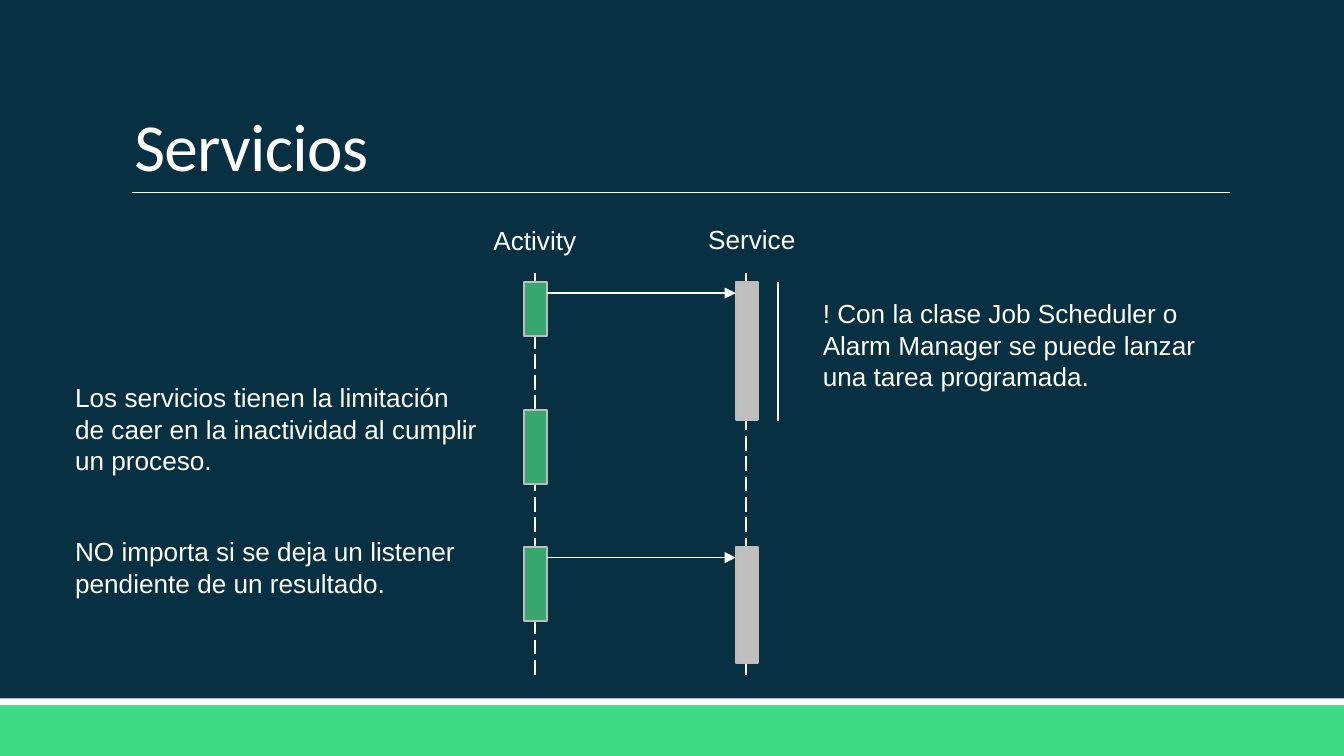
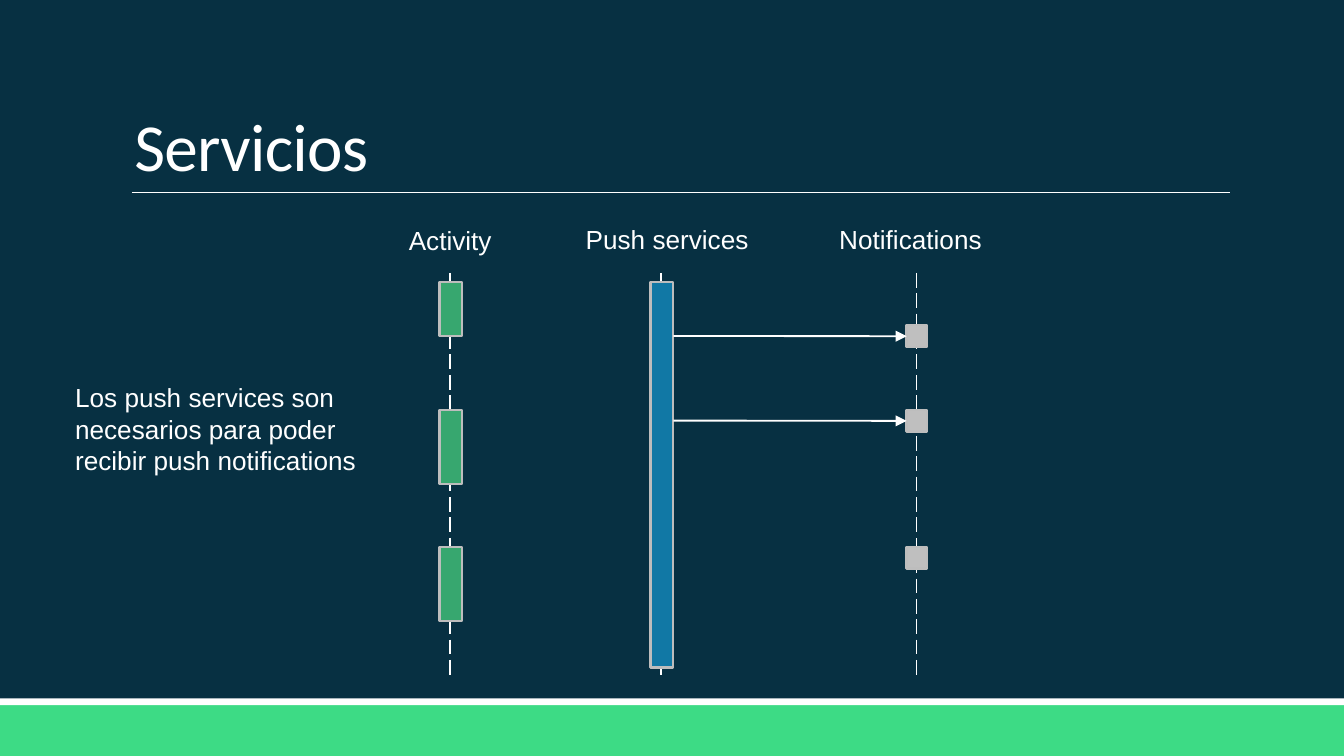
from dataclasses import dataclass
from typing import Any

from lxml import etree
from pptx import Presentation
from pptx.dml.color import RGBColor
from pptx.enum.dml import MSO_LINE
from pptx.enum.shapes import MSO_CONNECTOR, MSO_SHAPE
from pptx.enum.text import MSO_ANCHOR, MSO_AUTO_SIZE, PP_ALIGN
from pptx.oxml.ns import qn
from pptx.util import Cm, Pt

RECT = MSO_SHAPE.RECTANGLE
STRAIGHT = MSO_CONNECTOR.STRAIGHT
DASH = MSO_LINE.LONG_DASH
LEFT, CENTER = PP_ALIGN.LEFT, PP_ALIGN.CENTER
TOP, BOTTOM = MSO_ANCHOR.TOP, MSO_ANCHOR.BOTTOM
FIT, FIXED = MSO_AUTO_SIZE.SHAPE_TO_FIT_TEXT, MSO_AUTO_SIZE.NONE
LEFT_SIDE = 1


@dataclass(frozen=True)
class Theme:
    back: RGBColor = RGBColor(0x07, 0x30, 0x42)
    band: RGBColor = RGBColor(0x3D, 0xDB, 0x85)
    white: RGBColor = RGBColor(0xFF, 0xFF, 0xFF)
    green: RGBColor = RGBColor(0x37, 0xA7, 0x6F)
    gray: RGBColor = RGBColor(0xBF, 0xBF, 0xBF)
    blue: RGBColor = RGBColor(0x11, 0x78, 0xA5)
    edge: RGBColor = RGBColor(0xBD, 0xBD, 0xBD)
    head: str = "Calibri"
    body: str = "Arial"
    big: float = 36
    small: float = 14
    thin: float = 0.5
    line: float = 1
    border: float = 1.25


THEME = Theme()
WIDTH, HEIGHT = 25.4, 14.29
LIFE_TOP, LIFE_END = 5.16, 12.75
ROWS = (5.33, 7.75, 10.34)


@dataclass(frozen=True)
class Lane:
    name: str
    x: float
    label: tuple[float, float, float]  # left, top, width
    width: float
    fill: RGBColor
    bars: tuple[tuple[float, float], ...]  # top, height


@dataclass(frozen=True)
class Call:
    """An arrow from one bar to another; each is (lane, bar)."""
    start: tuple[int, int]
    end: tuple[int, int]
    y: float


@dataclass(frozen=True)
class Note:
    box: tuple[float, float, float, float]
    lines: tuple[str, ...]


@dataclass(frozen=True)
class Page:
    lanes: tuple[Lane, ...]
    calls: tuple[Call, ...]
    notes: tuple[Note, ...]
    marks: tuple[tuple[float, float, float], ...] = ()  # x, top, end


def apply(target: Any, values: dict[str, Any]) -> None:
    for name, value in values.items():
        setattr(target, name, value)


def add_box(slide: Any, box: tuple[float, ...], fill: RGBColor,
            edge: bool = False) -> Any:
    shape = slide.shapes.add_shape(RECT, *map(Cm, box))
    shape.shadow.inherit = False
    shape.fill.solid()
    shape.fill.fore_color.rgb = fill
    if edge:
        shape.line.color.rgb = THEME.edge
        shape.line.width = Pt(THEME.border)
    else:
        shape.line.fill.background()
    return shape


def add_line(slide: Any, ends: tuple[int, ...], width: float = THEME.line,
             dash: bool = False, arrow: bool = False) -> Any:
    """Ends are x and y of the start, then of the end, as lengths."""
    link = slide.shapes.add_connector(STRAIGHT, *ends)
    link.line.color.rgb = THEME.white
    link.line.width = Pt(width)
    if dash:
        link.line.dash_style = DASH
    if arrow:
        stroke = link.line.fill._xPr
        etree.SubElement(stroke, qn("a:tailEnd"), type="triangle")
    etree.SubElement(link._element.spPr, qn("a:effectLst"))
    return link


def add_text(slide: Any, box: tuple[float, ...], lines: tuple[str, ...],
             align: Any = LEFT, title: bool = False) -> None:
    frame = slide.shapes.add_textbox(*map(Cm, box)).text_frame
    apply(frame, {
        "word_wrap": True,
        "auto_size": FIXED if title else FIT,
        "vertical_anchor": BOTTOM if title else TOP,
    })
    font = {
        "name": THEME.head if title else THEME.body,
        "size": Pt(THEME.big if title else THEME.small),
    }
    for i, text in enumerate(lines):
        para = frame.add_paragraph() if i else frame.paragraphs[0]
        para.alignment = align
        if i:
            para.space_before = Pt(32)
        run = para.add_run()
        run.text = text
        apply(run.font, font)
        run.font.color.rgb = THEME.white
        if title:
            para.line_spacing = 0.85
            run.font._element.set("spc", "-40")


def add_frame(slide: Any) -> None:
    """Draw the bands, the title and its rule."""
    add_box(slide, (0, 13.33, WIDTH, 0.96), THEME.band)
    add_box(slide, (0, 13.2, WIDTH, 0.13), THEME.white)
    add_line(slide, tuple(map(Cm, (2.49, 3.63, 23.25, 3.63))), THEME.thin)
    add_text(slide, (2.29, 0.61, 20.96, 3.02), ("Servicios",), title=True)


def add_lane(slide: Any, lane: Lane) -> list[Any]:
    x = lane.x
    add_line(slide, tuple(map(Cm, (x, LIFE_TOP, x, LIFE_END))), dash=True)
    add_text(slide, (*lane.label, 0.86), (lane.name,), CENTER)
    left = x + 0.01 - lane.width / 2
    return [add_box(slide, (left, top, lane.width, tall), lane.fill, True)
            for top, tall in lane.bars]


def add_call(slide: Any, call: Call, bars: list[list[Any]]) -> None:
    start = bars[call.start[0]][call.start[1]]
    end = bars[call.end[0]][call.end[1]]
    y = Cm(call.y)
    ends = (start.left + start.width, y, end.left, y)
    link = add_line(slide, ends, arrow=True)
    if abs(end.top + end.height // 2 - y) < Cm(0.02):
        link.end_connect(end, LEFT_SIDE)


def add_page(deck: Any, page: Page) -> None:
    slide = deck.slides.add_slide(deck.slide_layouts[6])
    add_frame(slide)
    bars = [add_lane(slide, lane) for lane in page.lanes]
    for call in page.calls:
        add_call(slide, call, bars)
    for x, top, end in page.marks:
        add_line(slide, tuple(map(Cm, (x, top, x, end))))
    for note in page.notes:
        add_text(slide, note.box, note.lines)


def task_lane(x: float) -> Lane:
    """The Activity lane, which both slides show."""
    return Lane("Activity", x, (x - 2, 4.11, 4), 0.43, THEME.green,
                tuple(zip(ROWS, (1.02, 1.4, 1.4))))


PAGES = (
    Page(
        lanes=(
            task_lane(10.11),
            Lane("Service", 14.1, (11.91, 4.09, 4.6), 0.41, THEME.gray,
                 ((ROWS[0], 2.6), (ROWS[2], 2.2))),
        ),
        calls=(Call((0, 0), (1, 0), 5.54), Call((0, 2), (1, 1), 10.54)),
        notes=(
            Note((1.17, 7.09, 8.15, 4.45), (
                "Los servicios tienen la limitación de caer en la "
                "inactividad al cumplir un proceso.",
                "NO importa si se deja un listener pendiente de un "
                "resultado.")),
            Note((15.3, 5.5, 8.15, 2.06), (
                "! Con la clase Job Scheduler o Alarm Manager se puede "
                "lanzar una tarea programada.",)),
        ),
        marks=((14.7, ROWS[0], 7.95),),
    ),
    Page(
        lanes=(
            task_lane(8.51),
            Lane("Push services", 12.5, (10.31, 4.09, 4.6), 0.43,
                 THEME.blue, ((ROWS[0], 7.29),)),
            Lane("Notifications", 17.32, (14.91, 4.09, 4.6), 0.39,
                 THEME.gray,
                 tuple((top, 0.41) for top in (6.15, *ROWS[1:]))),
        ),
        calls=(Call((1, 0), (2, 0), 6.35), Call((1, 0), (2, 1), 7.95)),
        notes=(
            Note((1.17, 7.09, 6.32, 2.06), (
                "Los push services son necesarios para poder recibir "
                "push notifications",)),
        ),
    ),
)


def main() -> None:
    deck = Presentation()
    apply(deck, {"slide_width": Cm(WIDTH), "slide_height": Cm(HEIGHT)})
    back = deck.slide_master.background.fill
    back.solid()
    back.fore_color.rgb = THEME.back
    for page in PAGES:
        add_page(deck, page)
    deck.save("out.pptx")


if __name__ == "__main__":
    main()
